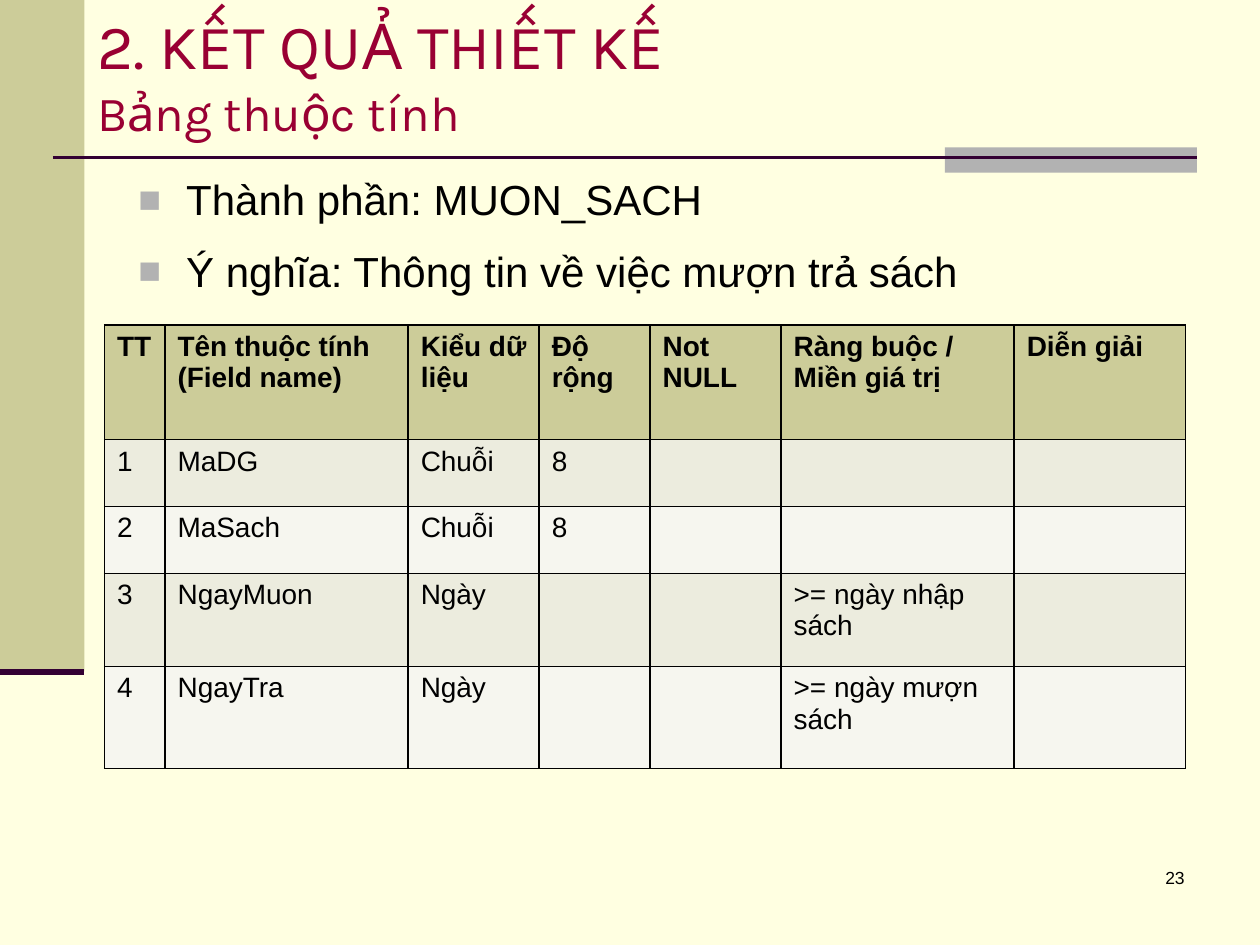
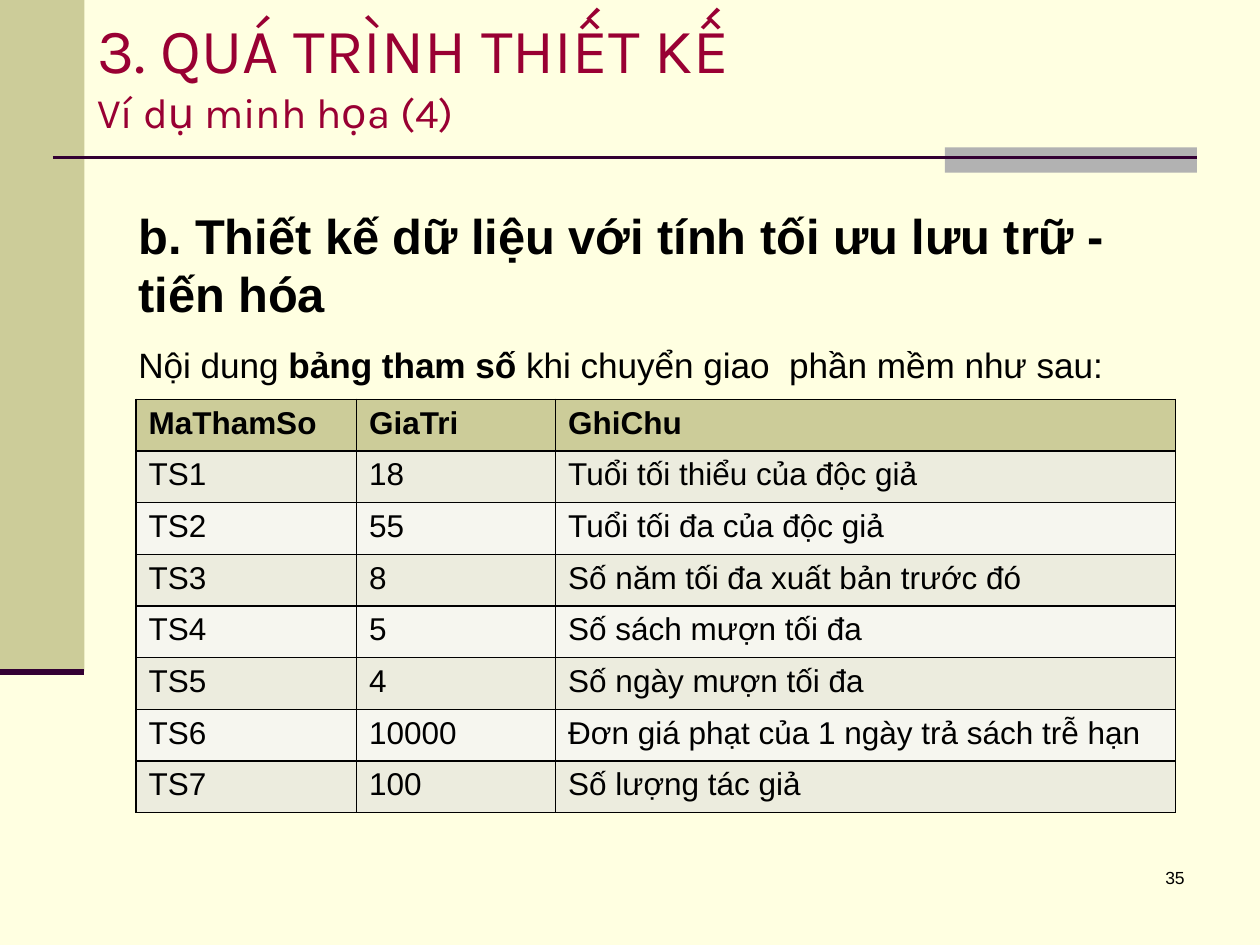
"""Builds two slides on database design: an attribute table and a parameter table."""
import lxml.etree
import pptx
import pptx.dml.color
import pptx.enum.shapes
import pptx.enum.text
import pptx.oxml.ns
import pptx.util

Inches = pptx.util.Inches
Pt = pptx.util.Pt
RGBColor = pptx.dml.color.RGBColor
qn = pptx.oxml.ns.qn

CREAM = RGBColor(0xFF, 0xFF, 0xE1)
OLIVE = RGBColor(0xCC, 0xCC, 0x99)
GREY = RGBColor(0xB2, 0xB2, 0xB2)
PLUM = RGBColor(0x33, 0x00, 0x33)
CRIMSON = RGBColor(0x99, 0x00, 0x33)
BLACK = RGBColor(0x00, 0x00, 0x00)
ROW_DARK = RGBColor(0xEC, 0xEC, 0xDE)
ROW_LIGHT = RGBColor(0xF6, 0xF6, 0xEF)

TITLE_FONT = "Karla"
BODY_FONT = "Arial"
TITLE_ONLY = 5

ATTRIBUTES = [
    ["TT", "Tên thuộc tính (Field name)", "Kiểu dữ liệu", "Độ rộng", "Not NULL",
     "Ràng buộc / Miền giá trị", "Diễn giải"],
    ["1", "MaDG", "Chuỗi", "8", "", "", ""],
    ["2", "MaSach", "Chuỗi", "8", "", "", ""],
    ["3", "NgayMuon", "Ngày", "", "", ">= ngày nhập sách", ""],
    ["4", "NgayTra", "Ngày", "", "", ">= ngày mượn sách", ""],
]

PARAMETERS = [
    ["MaThamSo", "GiaTri", "GhiChu"],
    ["TS1", "18", "Tuổi tối thiểu của độc giả"],
    ["TS2", "55", "Tuổi tối đa của độc giả"],
    ["TS3", "8", "Số năm tối đa xuất bản trước đó"],
    ["TS4", "5", "Số sách mượn tối đa"],
    ["TS5", "4", "Số ngày mượn tối đa"],
    ["TS6", "10000", "Đơn giá phạt của 1 ngày trả sách trễ hạn"],
    ["TS7", "100", "Số lượng tác giả"],
]


class Deck:
    """Holds the style and the current slide."""

    def __init__(self):
        self.presentation = pptx.Presentation()
        self.presentation.slide_width = Inches(10)
        self.presentation.slide_height = Inches(7.5)
        self.slide = None

    def start_slide(self, heading, subheading, subheading_size, number):
        """Adds a slide with its background, bands, title and number."""
        layout = self.presentation.slide_layouts[TITLE_ONLY]
        self.slide = self.presentation.slides.add_slide(layout)
        background = self.slide.background.fill
        background.solid()
        background.fore_color.rgb = CREAM
        self.band(0, 0, 0.67, 5.33, OLIVE)
        self.band(7.5, 1.17, 2, 0.2, GREY)
        self.rule(0.42, 9.5, 1.25, 1.5)
        self.rule(0, 0.67, 5.33, 3.5)
        self.title(heading, subheading, subheading_size)
        footer = self.text_box(7.42, 6.83, 2.08, 0.5).paragraphs[0]
        footer.alignment = pptx.enum.text.PP_ALIGN.RIGHT
        self.run(footer, number, 10)

    def band(self, left, top, width, height, color):
        """Adds a plain filled rectangle."""
        band = self.slide.shapes.add_shape(
            pptx.enum.shapes.MSO_SHAPE.RECTANGLE,
            Inches(left), Inches(top), Inches(width), Inches(height))
        band.shadow.inherit = False
        band.fill.solid()
        band.fill.fore_color.rgb = color
        band.line.fill.background()

    def rule(self, start, end, y, weight):
        """Adds a horizontal line."""
        rule = self.slide.shapes.add_connector(
            pptx.enum.shapes.MSO_CONNECTOR.STRAIGHT,
            Inches(start), Inches(y), Inches(end), Inches(y))
        rule.line.color.rgb = PLUM
        rule.line.width = Pt(weight)
        lxml.etree.SubElement(rule._element.spPr, qn("a:effectLst"))

    def title(self, heading, subheading, subheading_size):
        """Places and fills the title placeholder."""
        title = self.slide.shapes.title
        title.left, title.top = Inches(0.67), Inches(0)
        title.width, title.height = Inches(9.33), Inches(1.17)
        frame = title.text_frame
        frame.auto_size = pptx.enum.text.MSO_AUTO_SIZE.NONE
        frame.vertical_anchor = pptx.enum.text.MSO_ANCHOR.MIDDLE
        paragraph = frame.paragraphs[0]
        paragraph.alignment = pptx.enum.text.PP_ALIGN.LEFT
        self.run(paragraph, heading, 36, font=TITLE_FONT, color=CRIMSON)
        paragraph.add_line_break()
        self.run(paragraph, subheading, subheading_size, font=TITLE_FONT, color=CRIMSON)

    def run(self, paragraph, text, size, bold=False, font=BODY_FONT, color=BLACK):
        """Appends one formatted run."""
        run = paragraph.add_run()
        run.text = text
        run.font.name = font
        run.font.size = Pt(size)
        run.font.bold = bold
        run.font.color.rgb = color

    def text_box(self, left, top, width, height):
        """Adds a wrapping text box and returns its frame."""
        frame = self.slide.shapes.add_textbox(
            Inches(left), Inches(top), Inches(width), Inches(height)).text_frame
        frame.word_wrap = True
        return frame

    def body(self, left, top, width, height, paragraphs, bulleted=False):
        """Adds body text; each paragraph is a list of (text, size, bold)."""
        frame = self.text_box(left, top, width, height)
        for index, runs in enumerate(paragraphs):
            paragraph = frame.add_paragraph() if index else frame.paragraphs[0]
            paragraph.space_before = paragraph.space_after = Pt(6)
            if bulleted:
                self.bullet(paragraph)
            for text, size, bold in runs:
                self.run(paragraph, text, size, bold)

    def bullet(self, paragraph):
        """Gives a paragraph a grey square bullet with a hanging indent."""
        properties = paragraph._p.get_or_add_pPr()
        properties.set("marL", str(Inches(0.38)))
        properties.set("indent", str(-Inches(0.38)))
        color = lxml.etree.SubElement(properties, qn("a:buClr"))
        lxml.etree.SubElement(color, qn("a:srgbClr"), val=str(GREY))
        lxml.etree.SubElement(properties, qn("a:buSzPct"), val="90000")
        lxml.etree.SubElement(properties, qn("a:buFont"), typeface=BODY_FONT)
        lxml.etree.SubElement(properties, qn("a:buChar"), char="■")

    def table(self, left, top, widths, heights, rows, size):
        """Adds a bordered table with a header and alternating rows."""
        table = self.slide.shapes.add_table(
            len(rows), len(widths), Inches(left), Inches(top),
            Inches(sum(widths)), Inches(sum(heights))).table
        for column, width in zip(table.columns, widths):
            column.width = Inches(width)
        for row, height in zip(table.rows, heights):
            row.height = Inches(height)
        for index, texts in enumerate(rows):
            is_header = index == 0
            color = OLIVE if is_header else (ROW_LIGHT, ROW_DARK)[index % 2]
            for column, text in enumerate(texts):
                cell = table.cell(index, column)
                self.borders(cell)
                cell.fill.solid()
                cell.fill.fore_color.rgb = color
                if text:
                    self.run(cell.text_frame.paragraphs[0], text, size, is_header)

    def borders(self, cell):
        """Draws a thin black line on each side of a cell."""
        properties = cell._tc.get_or_add_tcPr()
        for side in ("lnL", "lnR", "lnT", "lnB"):
            line = lxml.etree.SubElement(properties, qn(f"a:{side}"), w=str(Pt(1)))
            fill = lxml.etree.SubElement(line, qn("a:solidFill"))
            lxml.etree.SubElement(fill, qn("a:srgbClr"), val=str(BLACK))


def main():
    """Builds and saves both slides."""
    deck = Deck()

    deck.start_slide("2. KẾT QUẢ THIẾT KẾ", "Bảng thuộc tính", 28, "23")
    deck.body(1, 1.33, 8.5, 1.2, [
        [("Thành phần: MUON_SACH", 24, False)],
        [("Ý nghĩa: Thông tin về việc mượn trả sách", 24, False)],
    ], bulleted=True)
    deck.table(0.83, 2.58, [0.48, 1.93, 1.04, 0.88, 1.04, 1.85, 1.36],
               [0.91, 0.53, 0.53, 0.74, 0.81], ATTRIBUTES, 16)

    deck.start_slide("3. QUÁ TRÌNH THIẾT KẾ", "Ví dụ minh họa (4)", 24, "35")
    deck.body(1, 1.58, 8.5, 1.42, [
        [("b. Thiết kế dữ liệu với tính tối ưu lưu trữ - tiến hóa", 27.9, True)],
        [("Nội dung ", 20.1, False), ("bảng tham số ", 20.1, True),
         ("khi chuyển giao  phần mềm như sau:", 20.1, False)],
    ])
    deck.table(1.08, 3.17, [1.75, 1.58, 4.92], [0.41] * len(PARAMETERS), PARAMETERS, 18)

    deck.presentation.save("out.pptx")


if __name__ == "__main__":
    main()
